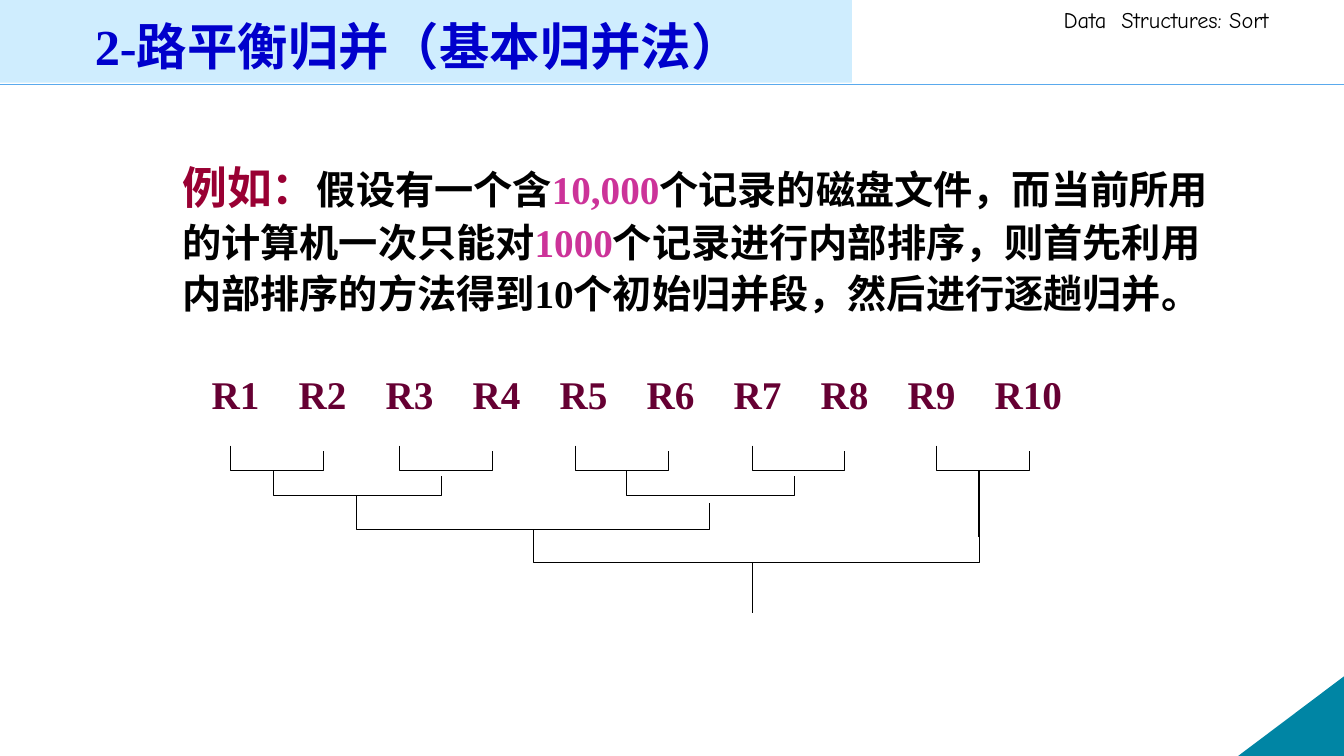
"""Builds the slide on two-way balanced merging with its merge tree."""
from dataclasses import dataclass

from lxml import etree
from pptx import Presentation
from pptx.dml.color import RGBColor
from pptx.enum.shapes import MSO_CONNECTOR, MSO_SHAPE
from pptx.enum.text import MSO_ANCHOR, MSO_AUTO_SIZE, PP_ALIGN
from pptx.oxml.ns import qn
from pptx.util import Inches, Pt

STRAIGHT = MSO_CONNECTOR.STRAIGHT
RECT, TRIANGLE = MSO_SHAPE.RECTANGLE, MSO_SHAPE.RIGHT_TRIANGLE
LEFT, TOP, BOTTOM = PP_ALIGN.LEFT, MSO_ANCHOR.TOP, MSO_ANCHOR.BOTTOM
NO_FIT = MSO_AUTO_SIZE.NONE


@dataclass(frozen=True)
class Theme:
    """Colours, fonts and type sizes of the slide."""
    title: str = "0000CC"
    band: str = "CFEDFE"
    rule: str = "5AAAED"
    corner: str = "0085A4"
    lead: str = "990033"
    number: str = "CC3399"
    label: str = "660033"
    ink: str = "000000"
    font: str = "Times New Roman"
    header_font: str = "Comic Neue"
    title_size: int = 36
    lead_size: int = 32
    body_size: int = 28
    header_size: int = 16
    hairline: float = 0.75
    rule_width: float = 1


T = Theme()

TITLE = "2-路平衡归并（基本归并法）"
HEADER = "Data  Structures: Sort"
EXAMPLE = [
    ("例如：", T.lead, T.lead_size),
    ("假设有一个含", T.ink, T.body_size),
    ("10,000", T.number, T.body_size),
    ("个记录的磁盘文件，而当前所用的计算机一次只能对", T.ink, T.body_size),
    ("1000", T.number, T.body_size),
    ("个记录进行内部排序，则首先利用内部排序的方法得到10个初始归并段，然后进行逐趟归并。",
     T.ink, T.body_size),
]
RUNS = [f"R{n}" for n in range(1, 11)]
FIRST_TAB, TAB_STEP = 0.29, 0.863

MERGE_PASSES = [
    {"top": 4.42, "depth": 0.25, "width": 0.92, "lefts": [2.29, 3.96, 5.71, 7.46, 9.29]},
    {"top": 4.67, "depth": 0.25, "width": 1.67, "lefts": [2.71, 6.21]},
    {"top": 4.92, "depth": 0.33, "width": 3.5, "lefts": [3.54]},
    {"top": 5.25, "depth": 0.33, "width": 4.42, "lefts": [5.29]},
]
STEMS = [(9.71, 4.67, 5.33), (7.46, 5.58, 6.08)]


def rgb(code):
    return RGBColor.from_string(code)


def add_run(p, text, color, size, font=T.font, bold=True):
    r = p.add_run()
    r.text = text
    r.font.name, r.font.size, r.font.bold = font, Pt(size), bold
    r.font.color.rgb = rgb(color)


def add_text_box(s, *box):
    tf = s.shapes.add_textbox(*map(Inches, box)).text_frame
    tf.word_wrap, tf.vertical_anchor = True, TOP
    return tf


def add_shape(s, kind, box, color):
    sp = s.shapes.add_shape(kind, *map(Inches, box))
    sp.shadow.inherit = False
    sp.fill.solid()
    sp.fill.fore_color.rgb = rgb(color)
    sp.line.fill.background()
    return sp


def add_line(s, x1, y1, x2, y2, color=T.ink, width=T.hairline):
    line = s.shapes.add_connector(STRAIGHT, *map(Inches, (x1, y1, x2, y2)))
    line.line.color.rgb, line.line.width = rgb(color), Pt(width)
    etree.SubElement(line.element.spPr, qn("a:effectLst"))


def add_bracket(s, left, top, width, depth):
    right, bottom = left + width, top + depth
    points = [(left, bottom), (right, bottom), (right, top + 0.2 * depth)]
    fb = s.shapes.build_freeform(Inches(left), Inches(top))
    fb.add_line_segments([(Inches(x), Inches(y)) for x, y in points], close=False)
    sp = fb.convert_to_shape()
    sp.shadow.inherit = False
    sp.fill.background()
    sp.line.color.rgb, sp.line.width = rgb(T.ink), Pt(T.hairline)


def add_frame(s):
    add_line(s, 0, 0.84, 13.33, 0.84, T.rule, T.rule_width)
    corner = add_shape(s, TRIANGLE, (12.28, 6.71, 1.05, 0.79), T.corner)
    corner.element.spPr.find(qn("a:xfrm")).set("flipH", "1")
    tf = add_text_box(s, 10.45, 0.01, 2.89, 0.37)
    add_run(tf.paragraphs[0], HEADER, T.ink, T.header_size, T.header_font, False)
    add_shape(s, RECT, (-0.03, -0.07, 8.48, 0.89), T.band)


def add_title(s):
    title = s.shapes.title
    title.left, title.top, title.width, title.height = map(Inches, (0.84, -0.11, 8.37, 0.91))
    tf = title.text_frame
    tf.auto_size, tf.vertical_anchor = NO_FIT, BOTTOM
    p = tf.paragraphs[0]
    p.alignment = LEFT
    add_run(p, TITLE, T.title, T.title_size)
    title.element.getparent().append(title.element)


def add_example(s):
    tf = add_text_box(s, 1.71, 1.48, 10.64, 2.77)
    p = tf.paragraphs[0]
    p.line_spacing = 1.1
    for text, color, size in EXAMPLE:
        add_run(p, text, color, size)

    p = tf.add_paragraph()
    p.line_spacing, p.space_before = 1.1, Pt(35)
    tabs = etree.SubElement(p._p.get_or_add_pPr(), qn("a:tabLst"))
    for i, name in enumerate(RUNS):
        position = Inches(FIRST_TAB + i * TAB_STEP)
        etree.SubElement(tabs, qn("a:tab"), pos=str(position), algn="l")
        add_run(p, "\t" + name, T.label, T.body_size)


def add_merge_tree(s):
    for level in MERGE_PASSES:
        for left in level["lefts"]:
            add_bracket(s, left, level["top"], level["width"], level["depth"])
    for x, top, bottom in STEMS:
        add_line(s, x, top, x, bottom)


def main():
    prs = Presentation()
    prs.slide_width, prs.slide_height = Inches(13.33), Inches(7.5)
    s = prs.slides.add_slide(prs.slide_layouts[5])
    add_frame(s)
    add_example(s)
    add_merge_tree(s)
    add_title(s)
    prs.save("out.pptx")


if __name__ == "__main__":
    main()
